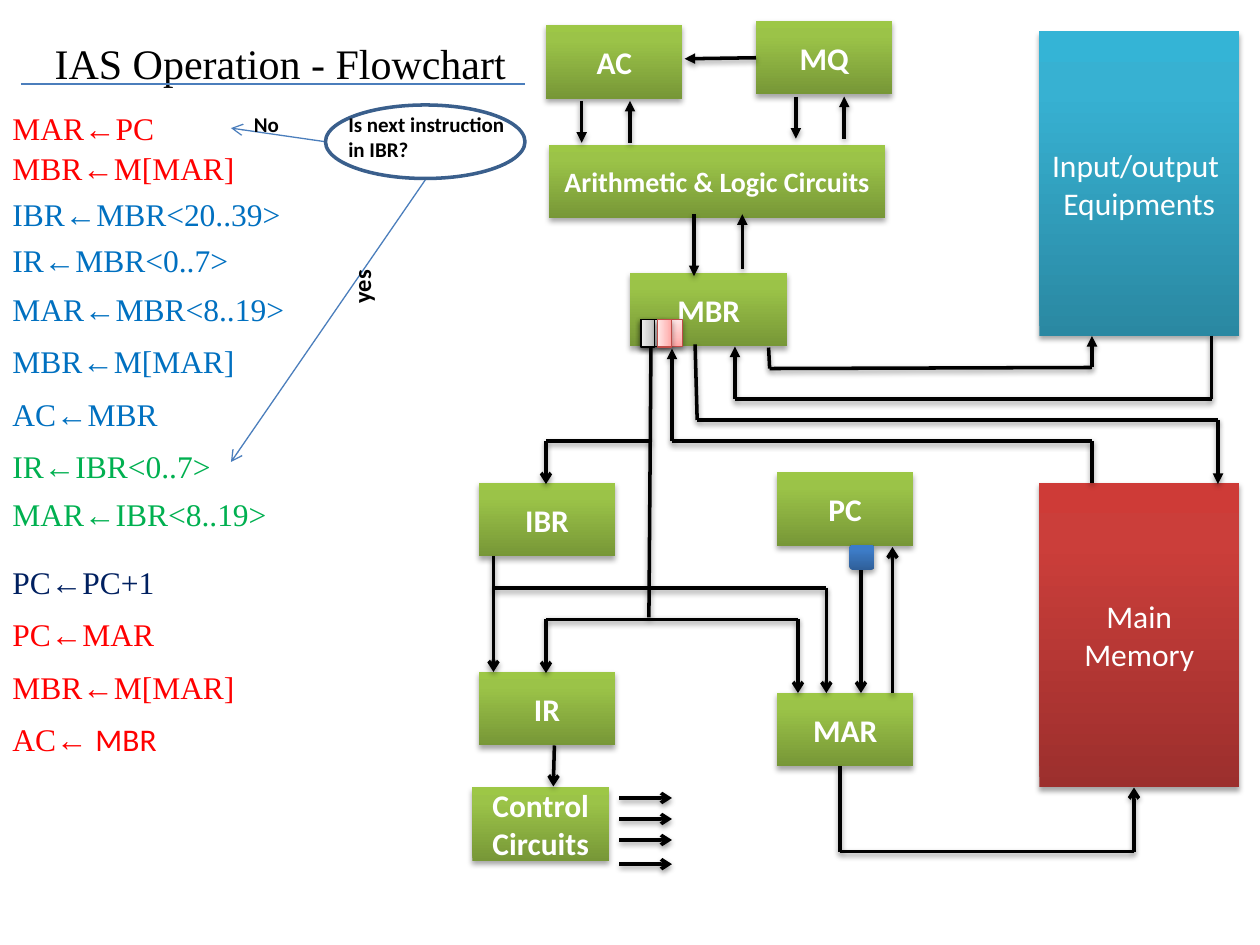
from lxml import etree
from pptx import Presentation
from pptx import util as u
from pptx.dml.color import RGBColor
from pptx.enum import shapes, text
from pptx.oxml import parse_xml
from pptx.oxml.ns import nsdecls, qn

PX = 7620  # EMU per px, 120 px to the inch
rgb = RGBColor.from_string

GREEN = ((0, "779737"), (80, "9BC348"), (100, "9DC746"))
TEAL = ((0, "2A88A2"), (80, "37B1D2"), (100, "34B4D6"))
RED = ((0, "9C2F2D"), (80, "CB3E3A"), (100, "CE3B37"))
BLUE = ((0, "2F5F99"), (80, "3D7CC7"), (100, "3A7CCB"))
GRAY = ((0, "BDBDBD"), (35, "D1D1D1"), (100, "EEEEEE"))
PINK = ((0, "FFA6A5"), (35, "FFC0BF"), (100, "FFE7E7"))


def drop_shadow(shape, alpha, distance):
    effects = etree.SubElement(shape._element.spPr, qn("a:effectLst"))
    effects.append(parse_xml(
        f'<a:outerShdw {nsdecls("a")} blurRad="40000" dist="{distance}" dir="5400000" '
        f'rotWithShape="0"><a:srgbClr val="000000"><a:alpha val="{alpha * 1000}"/>'
        '</a:srgbClr></a:outerShdw>'))


def gradient_block(kind, box, stops, outline=None):
    block = slide.shapes.add_shape(kind, *(v * PX for v in box))
    stop_xml = "".join(f'<a:gs pos="{pos * 1000}"><a:srgbClr val="{color}"/></a:gs>'
                       for pos, color in stops)
    block._element.spPr.insert(2, parse_xml(
        f'<a:gradFill {nsdecls("a")} rotWithShape="1"><a:gsLst>{stop_xml}</a:gsLst>'
        '<a:lin ang="16200000" scaled="0"/></a:gradFill>'))
    if outline:
        block.line.color.rgb = rgb(outline)
        block.line.width = u.Pt(0.75)
        drop_shadow(block, 38, 20000)
    else:
        block.line.fill.background()
        drop_shadow(block, 35, 23000)
    return block


prs = Presentation()
prs.slide_width, prs.slide_height = 1200 * PX, 900 * PX
slide = prs.slides.add_slide(prs.slide_layouts[5])

# Title
title = slide.shapes.title
title.left, title.top, title.width, title.height = (v * PX for v in (40, 30, 460, 60))
title.text_frame.vertical_anchor = text.MSO_ANCHOR.TOP
title.text_frame.auto_size = text.MSO_AUTO_SIZE.NONE
heading = title.text_frame.paragraphs[0]
heading.alignment = text.PP_ALIGN.LEFT
run = heading.add_run()
run.text = "IAS Operation - Flowchart"
run.font.size, run.font.name = u.Pt(24), "Times New Roman"
run.font.color.rgb = rgb("000000")

# Registers and units: lines, box, gradient, size, bold
units = [
    (["AC"], (520, 24, 130, 70), GREEN, 18, True),
    (["MQ"], (720, 20, 130, 70), GREEN, 18, True),
    (["Arithmetic & Logic Circuits"], (523, 138, 320, 70), GREEN, 16, True),
    (["MBR"], (600, 260, 150, 70), GREEN, 18, True),
    (["IBR"], (456, 460, 130, 70), GREEN, 18, True),
    (["IR"], (456, 640, 130, 70), GREEN, 18, True),
    (["Control", "Circuits"], (450, 750, 130, 70), GREEN, 18, True),
    (["PC"], (740, 450, 130, 70), GREEN, 18, True),
    (["MAR"], (740, 660, 130, 70), GREEN, 18, True),
    (["Input/output ", "Equipments"], (990, 30, 190, 290), TEAL, 18, False),
    (["Main Memory"], (990, 460, 190, 290), RED, 18, False),
]
for lines, box, stops, size, bold in units:
    frame = gradient_block(shapes.MSO_SHAPE.RECTANGLE, box, stops).text_frame
    frame.word_wrap = True
    frame.vertical_anchor = text.MSO_ANCHOR.MIDDLE
    for i, line in enumerate(lines):
        para = frame.add_paragraph() if i else frame.paragraphs[0]
        para.alignment = text.PP_ALIGN.CENTER
        run = para.add_run()
        run.text = line
        run.font.size, run.font.name, run.font.bold = u.Pt(size), "Calibri", bold
        run.font.color.rgb = rgb("FFFFFF")

# Data paths: corner points and the arrowhead at the last one
data_paths = [
    ([(800, 730), (800, 811), (1080, 811), (1080, 750)], "arrow"),
    ([(1040, 460), (1040, 420), (640, 420), (640, 332)], "triangle"),
    ([(662, 328), (664, 400), (1160, 400), (1160, 461)], "triangle"),
    ([(1154, 320), (1154, 380), (700, 380), (700, 330)], "triangle"),
    ([(732, 331), (733, 351), (1040, 350), (1040, 320)], "triangle"),
    ([(554, 96), (554, 136)], "triangle"),
    ([(600, 136), (600, 96)], "triangle"),
    ([(758, 92), (758, 132)], "triangle"),
    ([(804, 132), (804, 92)], "triangle"),
    ([(661, 204), (661, 263)], "triangle"),
    ([(707, 256), (707, 204)], "triangle"),
    ([(720, 55), (652, 56)], "triangle"),
    ([(620, 328), (618, 588)], None),
    ([(620, 420), (520, 420), (520, 461)], "arrow"),
    ([(520, 590), (760, 590), (760, 660)], "arrow"),
    ([(520, 590), (520, 641)], "arrow"),
    ([(470, 560), (787, 560), (787, 660)], "arrow"),
    ([(470, 530), (470, 640)], "arrow"),
    ([(820, 521), (820, 660)], "arrow"),
    ([(850, 660), (850, 521)], "arrow"),
    ([(528, 710), (527, 749)], "arrow"),
]
data_paths += [([(590, y), (640, y)], "arrow") for y in (760, 780, 800, 823)]
# Title rule and decision branches
decision_lines = [
    ([(20, 80), (500, 80)], None),
    ([(310, 135), (220, 122)], "arrow"),
    ([(406, 170), (220, 440)], "arrow"),
]
for wires, color, width, shaded in ((data_paths, "000000", 2, True),
                                    (decision_lines, "4B7EBC", 0.75, False)):
    for points, arrowhead in wires:
        for start, end in zip(points, points[1:]):
            wire = slide.shapes.add_connector(
                shapes.MSO_CONNECTOR.STRAIGHT, *(v * PX for v in start + end))
            wire.line.color.rgb = rgb(color)
            wire.line.width = u.Pt(width)
            if arrowhead and end == points[-1]:
                outline = wire._element.spPr.find(qn("a:ln"))
                etree.SubElement(outline, qn("a:tailEnd"), type=arrowhead)
            if shaded:
                drop_shadow(wire, 38, 20000)
            else:
                etree.SubElement(wire._element.spPr, qn("a:effectLst"))

# PC increment and the MBR fields
gradient_block(shapes.MSO_SHAPE.ROUNDED_RECTANGLE, (809, 519, 24, 24), BLUE)
for box, stops, outline, turn in [
    ((610, 304, 20, 26), GRAY, "000000", 0),
    ((630, 304, 20, 26), PINK, "BF4C48", 0),
    ((604, 311, 26, 13), GRAY, "000000", 270),
    ((620, 311, 26, 13), PINK, "BF4C48", 270),
]:
    gradient_block(shapes.MSO_SHAPE.RECTANGLE, box, stops, outline).rotation = turn

# Decision ellipse
decision = slide.shapes.add_shape(shapes.MSO_SHAPE.OVAL, *(v * PX for v in (310, 100, 190, 70)))
decision.fill.background()
decision.line.color.rgb = rgb("3A5F8C")
decision.line.width = u.Pt(2)
decision.shadow.inherit = False

# Register transfers: text, top, width, colour
transfers = [
    ("MAR←PC", 98, 220, "FF0000"),
    ("MBR←M[MAR]", 136, 240, "FF0000"),
    ("IBR←MBR<20..39>", 180, 310, "0070C0"),
    ("IR←MBR<0..7>", 224, 330, "0070C0"),
    ("MAR←MBR<8..19>", 270, 299, "0070C0"),
    ("MBR←M[MAR]", 320, 240, "0070C0"),
    ("AC←MBR", 370, 240, "0070C0"),
    ("IR←IBR<0..7>", 420, 330, "00B050"),
    ("MAR←IBR<8..19>", 466, 299, "00B050"),
    ("PC←PC+1", 530, 240, "002060"),
    ("PC←MAR", 580, 220, "FF0000"),
    ("MBR←M[MAR]", 630, 240, "FF0000"),
]
labels = [([(words, "Times New Roman")], (0, top, width, 48), 18, color, False)
          for words, top, width, color in transfers]
labels += [
    ([("AC← ", "Times New Roman"), ("MBR", "Calibri")], (0, 680, 230, 48), 18, "FF0000", False),
    ([("Is next instruction in IBR?", "Calibri")], (320, 100, 190, 60), 12, "000000", True),
    ([("No", "Calibri")], (230, 100, 80, 36), 12, "000000", True),
    ([("yes", "Calibri")], (330, 260, 40, 29), 14, "000000", True),
]
for runs, box, size, color, bold in labels:
    frame = slide.shapes.add_textbox(*(v * PX for v in box)).text_frame
    frame.word_wrap = True
    for words, face in runs:
        run = frame.paragraphs[0].add_run()
        run.text = words
        run.font.size, run.font.name, run.font.bold = u.Pt(size), face, bold
        run.font.color.rgb = rgb(color)

# The last label, "yes", reads upwards
frame.word_wrap = False
frame.margin_left = frame.margin_right = frame.margin_top = frame.margin_bottom = 0
frame._txBody.bodyPr.set("vert", "vert270")

prs.save("out.pptx")
